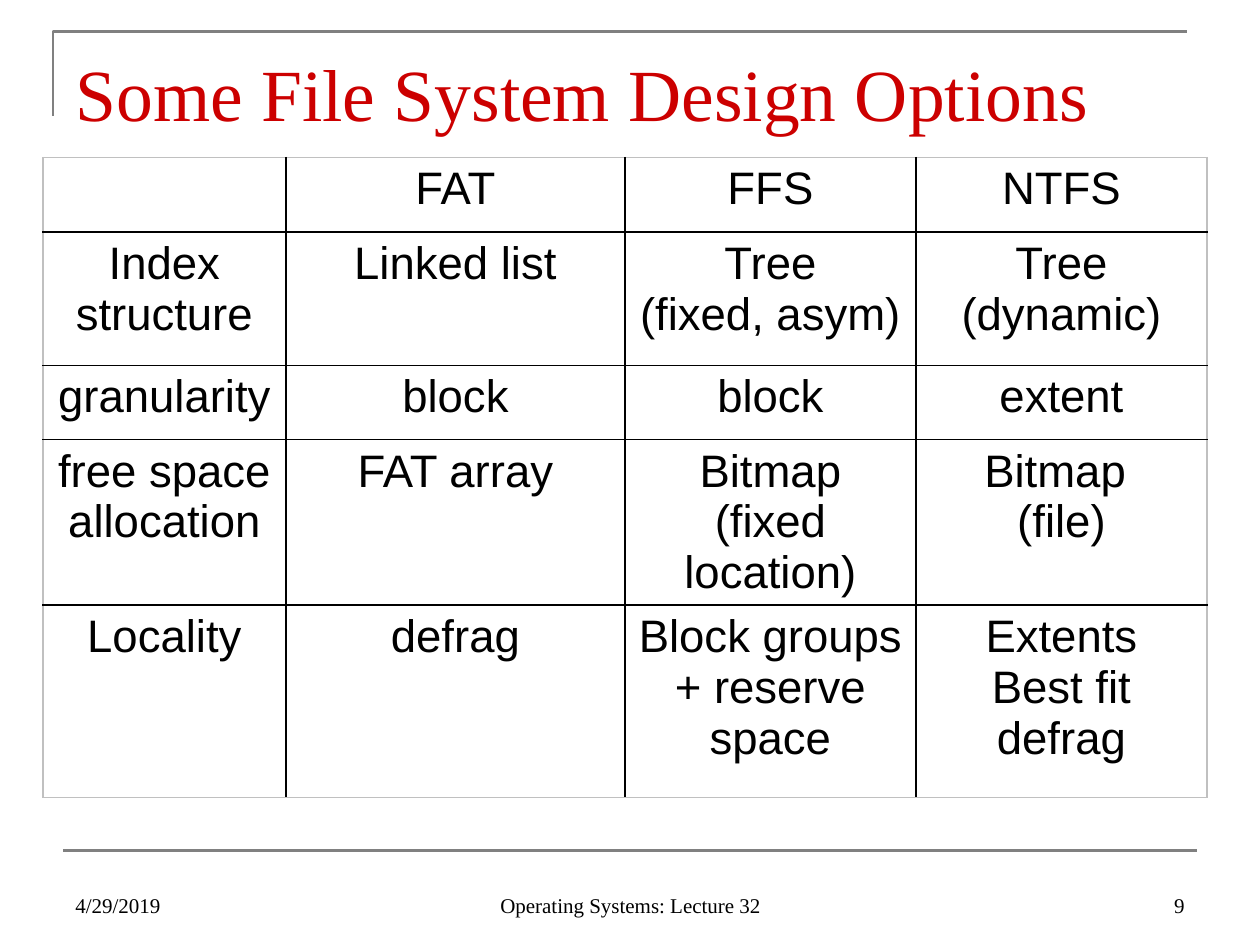
from lxml.etree import SubElement
from pptx import Presentation
from pptx.dml.color import RGBColor
from pptx.enum.shapes import MSO_CONNECTOR
from pptx.enum.text import MSO_ANCHOR, MSO_AUTO_SIZE, PP_ALIGN as ALIGN
from pptx.oxml.ns import qn
from pptx.util import Inches, Pt

COLORS = {"title": "CC0000", "text": "000000", "rule": "808080",
          "grid": "000000", "frame": "C0C0C0"}
COLUMN_WIDTHS = [1.93, 2.69, 2.31, 2.31]
ROW_HEIGHTS = [0.59, 1.06, 0.59, 1.31, 1.53]
OPTIONS = [
    ["", "FAT", "FFS", "NTFS"],
    ["Index structure", "Linked list", "Tree\n(fixed, asym)", "Tree\n(dynamic)"],
    ["granularity", "block", "block", "extent"],
    ["free space\nallocation", "FAT array", "Bitmap\n(fixed location)", "Bitmap \n(file)"],
    ["Locality", "defrag", "Block groups + reserve space", "Extents\nBest fit\ndefrag"],
]
FOOTERS = [
    ("4/29/2019", 0.5, 2.33, ALIGN.LEFT),
    ("Operating Systems: Lecture 32", 3.42, 3.17, ALIGN.CENTER),
    ("9", 7.17, 2.33, ALIGN.RIGHT),
]


def rgb(name):
    return RGBColor.from_string(COLORS[name])


def format_text(text_frame, font_name, size, color, alignment):
    for paragraph in text_frame.paragraphs:
        paragraph.alignment = alignment
        for run in paragraph.runs:
            run.font.name = font_name
            run.font.size = Pt(size)
            run.font.color.rgb = rgb(color)


def style_rule(shape):
    shape.line.color.rgb = rgb("rule")
    shape.line.width = Pt(1.5)


def add_rules(slide):
    """Draw the corner around the title and the line above the footer."""
    builder = slide.shapes.build_freeform(Inches(0.42), Inches(0.92))
    builder.add_line_segments([(Inches(0.42), Inches(0.25)),
                               (Inches(9.42), Inches(0.25))], close=False)
    corner = builder.convert_to_shape()
    corner.shadow.inherit = False
    corner.fill.background()
    style_rule(corner)

    footer_rule = slide.shapes.add_connector(
        MSO_CONNECTOR.STRAIGHT, Inches(0.5), Inches(6.75), Inches(9.5), Inches(6.75))
    style_rule(footer_rule)
    SubElement(footer_rule._element.spPr, qn("a:effectLst"))


def set_title(slide, text):
    title = slide.shapes.title
    title.left, title.top = Inches(0.5), Inches(0.3)
    title.width, title.height = Inches(9), Inches(0.78)
    text_frame = title.text_frame
    text_frame.text = text
    text_frame.auto_size = MSO_AUTO_SIZE.NONE
    text_frame.vertical_anchor = MSO_ANCHOR.BOTTOM
    text_frame.margin_top = text_frame.margin_bottom = 0
    format_text(text_frame, "Times New Roman", 42, "title", ALIGN.LEFT)


def set_borders(cell, outer_sides):
    properties = cell._tc.get_or_add_tcPr()
    for index, side in enumerate(("lnL", "lnR", "lnT", "lnB")):
        line = SubElement(properties, qn(f"a:{side}"), w=str(Pt(1)))
        properties.insert(index, line)
        fill = SubElement(line, qn("a:solidFill"))
        color = COLORS["frame" if side in outer_sides else "grid"]
        SubElement(fill, qn("a:srgbClr"), val=color)


def add_options_table(slide):
    row_count, column_count = len(ROW_HEIGHTS), len(COLUMN_WIDTHS)
    table = slide.shapes.add_table(
        row_count, column_count, Inches(0.34), Inches(1.25),
        Inches(sum(COLUMN_WIDTHS)), Inches(sum(ROW_HEIGHTS))).table
    table.first_row = table.horz_banding = False
    for column, width in zip(table.columns, COLUMN_WIDTHS):
        column.width = Inches(width)
    for row, height in zip(table.rows, ROW_HEIGHTS):
        row.height = Inches(height)
    for r, texts in enumerate(OPTIONS):
        for c, text in enumerate(texts):
            cell = table.cell(r, c)
            cell.text_frame.text = text
            format_text(cell.text_frame, "Arial", 26, "text", ALIGN.CENTER)
            cell.fill.background()
            at_edge = {"lnL": c == 0, "lnR": c == column_count - 1,
                       "lnT": r == 0, "lnB": r == row_count - 1}
            set_borders(cell, [side for side, outer in at_edge.items() if outer])


def add_footer(slide, text, left, width, alignment):
    box = slide.shapes.add_textbox(Inches(left), Inches(6.83), Inches(width), Inches(0.5))
    text_frame = box.text_frame
    text_frame.word_wrap = True
    text_frame.vertical_anchor = MSO_ANCHOR.BOTTOM
    text_frame.text = text
    format_text(text_frame, "Times New Roman", 12, "text", alignment)


def main():
    presentation = Presentation()
    presentation.slide_width, presentation.slide_height = Inches(10), Inches(7.5)
    title_only = presentation.slide_layouts[5]
    slide = presentation.slides.add_slide(title_only)
    add_rules(slide)
    set_title(slide, "Some File System Design Options")
    add_options_table(slide)
    for footer in FOOTERS:
        add_footer(slide, *footer)
    presentation.save("out.pptx")


if __name__ == "__main__":
    main()
